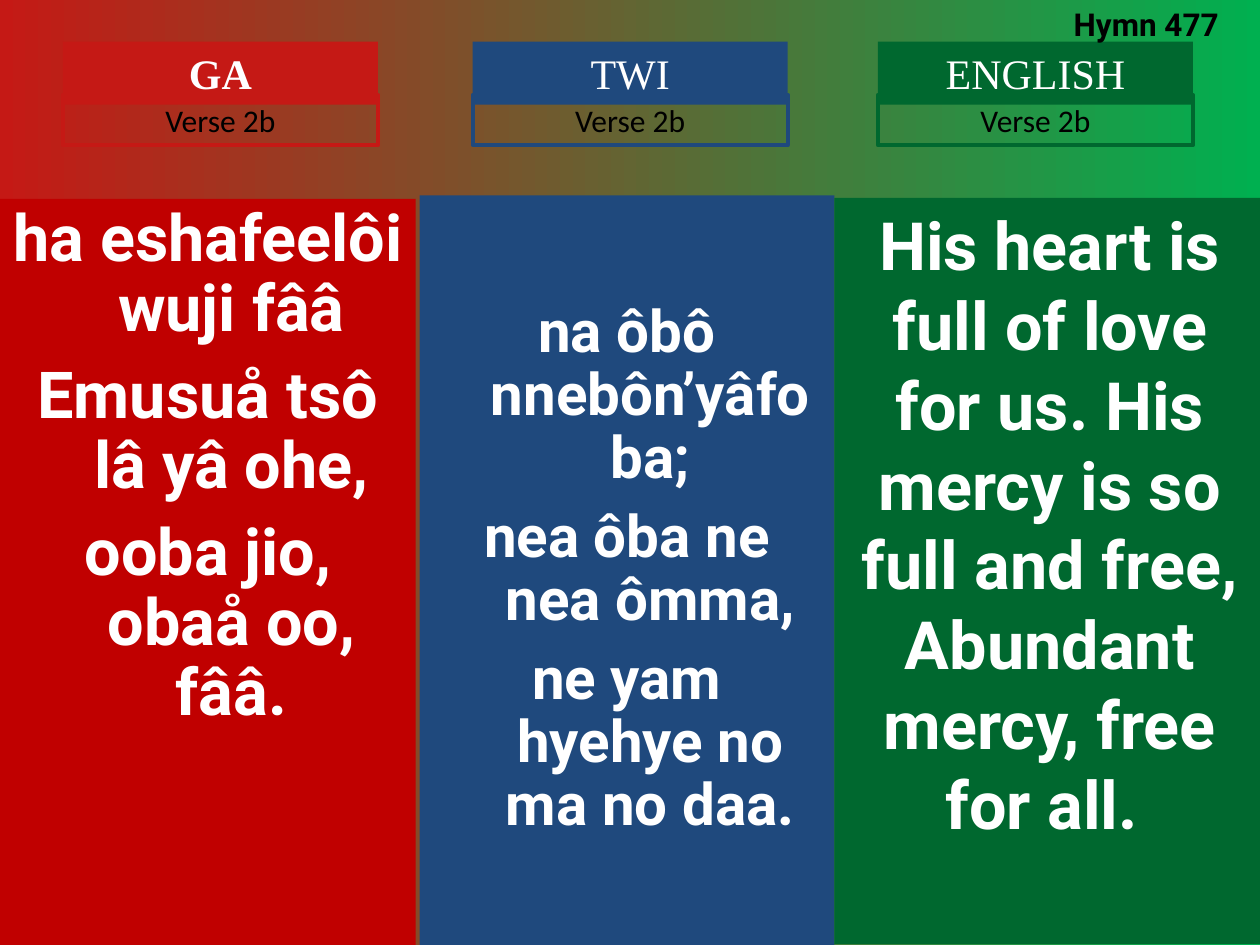
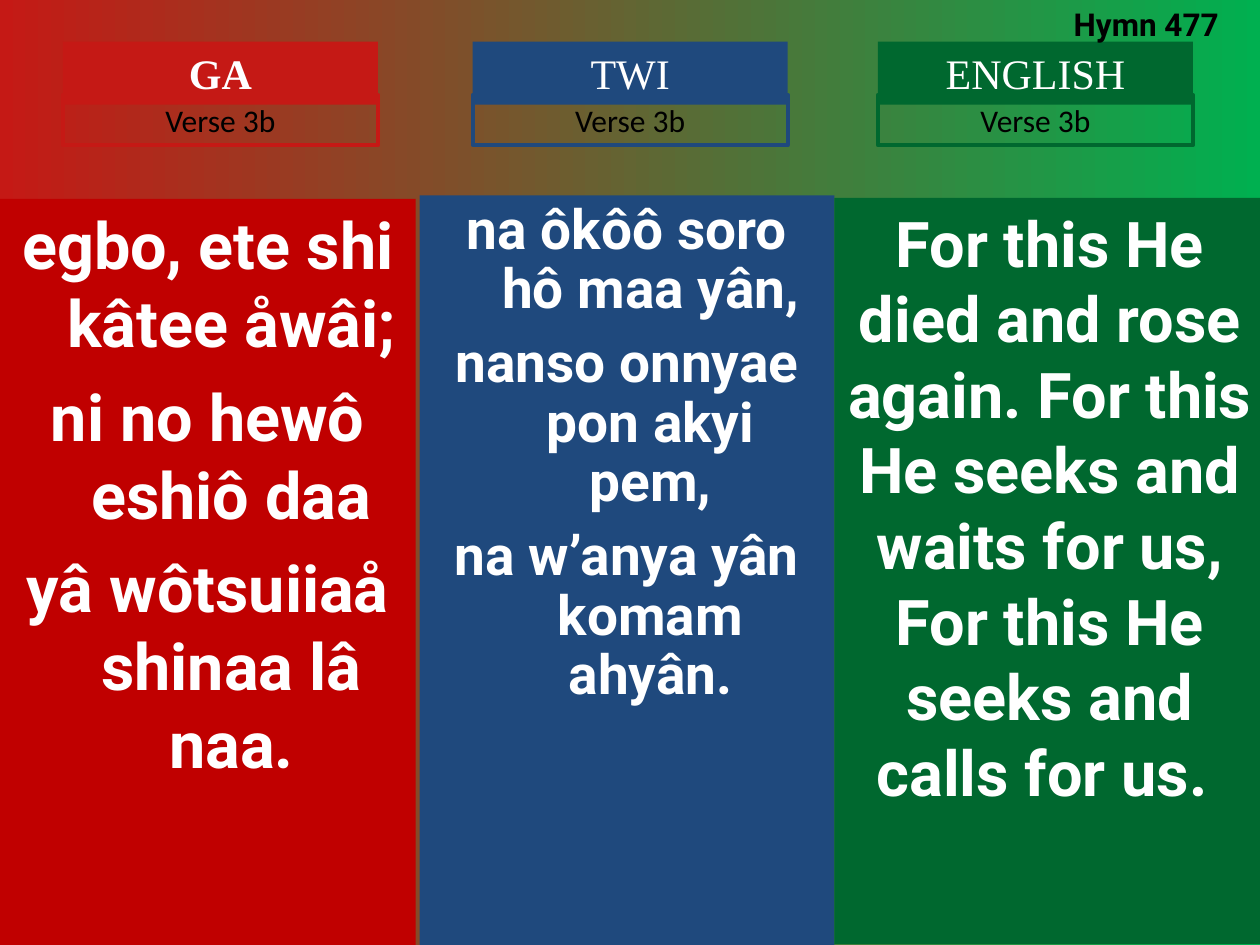
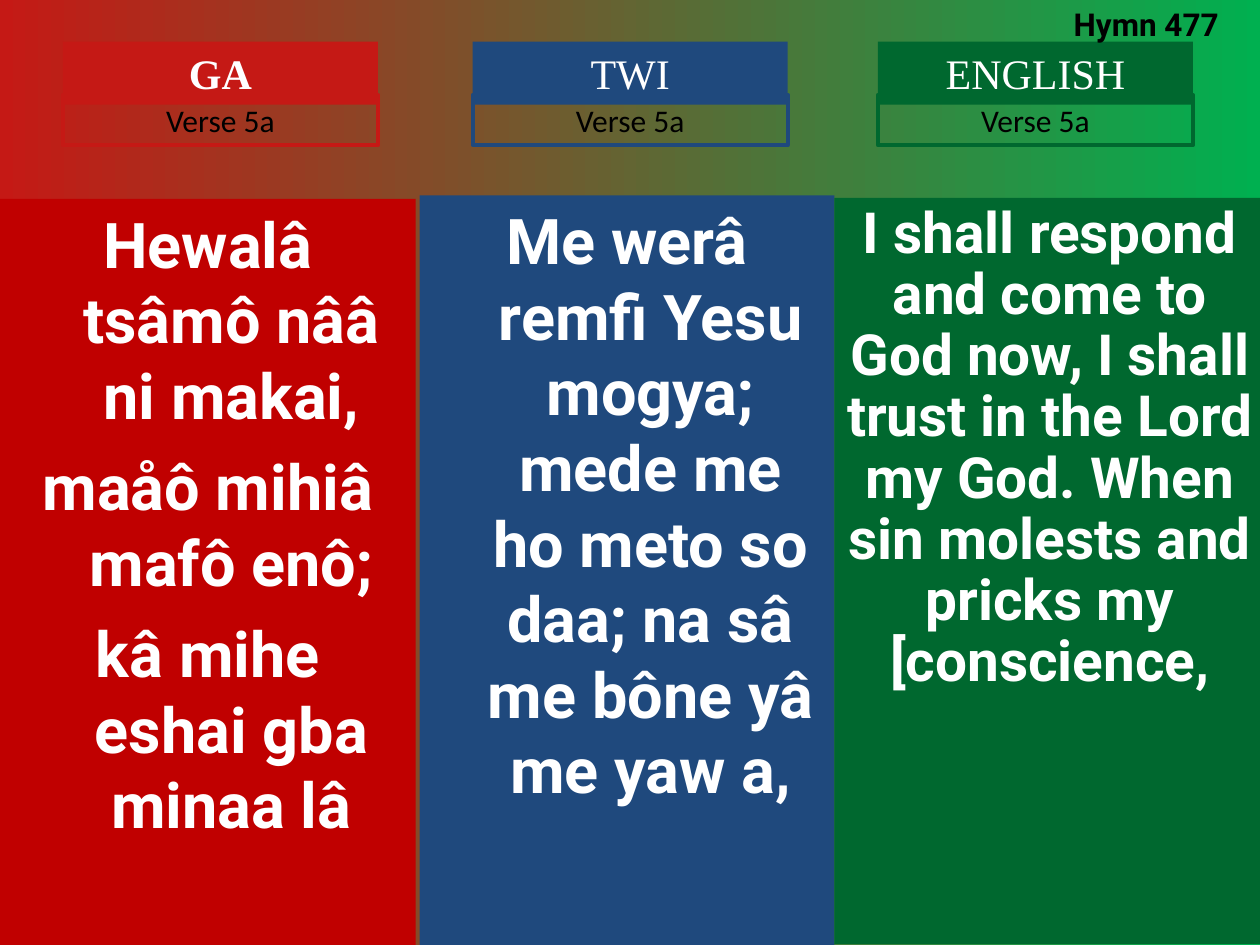
from collections import namedtuple
from dataclasses import dataclass

from lxml.etree import SubElement
from pptx import Presentation
from pptx.dml.color import RGBColor
from pptx.enum.shapes import MSO_SHAPE
from pptx.enum.text import MSO_ANCHOR, MSO_AUTO_SIZE, PP_ALIGN
from pptx.oxml.ns import qn
from pptx.util import Cm, Pt


@dataclass(frozen=True)
class Theme:
    red: str = "C51915"
    deep_red: str = "C00000"
    blue: str = "1F497D"
    green: str = "00682F"
    light_green: str = "00B050"
    white: str = "FFFFFF"
    black: str = "000000"
    lyric_font: str = "Roboto"
    heading_font: str = "Times New Roman"
    verse_font: str = "Calibri"
    heading_size: float = 24
    label_size: float = 18
    outline: float = 2.25


T = Theme()
TWO_CONTENT = 3
HANGING = Cm(0.95)
HYMN = "Hymn 477"
HYMN_BOX = (21.39, -0.03, 3.81, 1.02)
HEADING_TOP, HEADING_WIDTH, HEADING_HEIGHT = 0.84, 6.35, 1.27
VERSE_DROP, VERSE_HEIGHT = 1.07, 1.02

Column = namedtuple("Column", "language heading_left heading_fill bold panel panel_fill placeholder")
Lyrics = namedtuple("Lyrics", "size spacing lines anchor", defaults=[MSO_ANCHOR.TOP])

COLUMNS = [
    Column("GA", 1.27, T.red, True, (0, 4.01, 8.38, 15.04), T.deep_red, 1),
    Column("TWI", 9.53, T.blue, False, (8.46, 3.94, 8.36, 15.11), T.blue, 2),
    Column("ENGLISH", 17.7, T.green, False, (16.82, 3.99, 8.69, 15.04), T.green, None),
]

VERSES = [
    ("Verse 2b", [
        Lyrics(37, 0.9, ["ha eshafeelôi wuji fââ", "Emusuå tsô lâ yâ ohe,",
                         "ooba jio, obaå oo, fââ."]),
        Lyrics(33.3, 0.9, ["na ôbô nnebôn’yâfo ba;", "nea ôba ne nea ômma,",
                           "ne yam hyehye no ma no daa."], MSO_ANCHOR.MIDDLE),
        Lyrics(38, 1, ["His heart is full of love for us. His mercy is so full and free, "
                       "Abundant mercy, free for all. "]),
    ]),
    ("Verse 3b", [
        Lyrics(37, 1, ["egbo, ete shi kâtee åwâi;", "ni no hewô eshiô daa",
                       "yâ wôtsuiiaå shinaa lâ naa."]),
        Lyrics(31.4, 0.9, ["na ôkôô soro hô maa yân,", "nanso onnyae pon akyi pem,",
                           "na w’anya yân komam ahyân."]),
        Lyrics(36, 1, ["For this He died and rose again. For this He seeks and waits for us, "
                       "For this He seeks and calls for us. "]),
    ]),
    ("Verse 5a", [
        Lyrics(36, 1, ["Hewalâ tsâmô nââ ni makai,", "maåô mihiâ mafô enô;",
                       "kâ mihe eshai gba minaa lâ"]),
        Lyrics(36, 1, ["Me werâ remfi Yesu mogya; mede me ho meto so daa; "
                       "na sâ me bône yâ me yaw a,"]),
        Lyrics(32.4, 0.9, ["I shall respond and come to God now, I shall trust in the Lord "
                           "my God. When sin molests and pricks my [conscience,"]),
    ]),
]


def rgb(color):
    return RGBColor.from_string(color)


def place(sp, box):
    sp.left, sp.top, sp.width, sp.height = (Cm(v) for v in box)


def add_rect(s, box, fill=None, line=None):
    sp = s.shapes.add_shape(MSO_SHAPE.RECTANGLE, *(Cm(v) for v in box))
    sp.shadow.inherit = False
    if fill:
        sp.fill.solid()
        sp.fill.fore_color.rgb = rgb(fill)
    else:
        sp.fill.background()
    if line:
        sp.line.color.rgb = rgb(line)
        sp.line.width = Pt(T.outline)
    else:
        sp.line.fill.background()
    return sp


def frame(sp, anchor=MSO_ANCHOR.TOP):
    """Return the shape's text frame, wrapping at a fixed size."""
    tf = sp.text_frame
    tf.word_wrap = True
    tf.auto_size = MSO_AUTO_SIZE.NONE
    tf.vertical_anchor = anchor
    return tf


def add_run(p, text, font, size, color, bold=False, align=PP_ALIGN.CENTER):
    p.alignment = align
    r = p.add_run()
    r.text = text
    r.font.name, r.font.size, r.font.bold = font, Pt(size), bold
    r.font.color.rgb = rgb(color)


def hang(p):
    """Give the paragraph a hanging indent and no bullet."""
    pPr = p._p.get_or_add_pPr()
    pPr.set("marL", str(HANGING))
    pPr.set("indent", str(-HANGING))
    SubElement(pPr, qn("a:buNone"))


def lyrics_panel(s, column, lyrics):
    if column.placeholder:
        sp = s.placeholders[column.placeholder]
        place(sp, column.panel)
        sp.fill.solid()
        sp.fill.fore_color.rgb = rgb(column.panel_fill)
    else:
        sp = add_rect(s, column.panel, column.panel_fill)
    tf = frame(sp, lyrics.anchor)
    gap = lyrics.size * (0.27 if lyrics.spacing < 1 else 0.25)
    for i, line in enumerate(lyrics.lines):
        p = tf.add_paragraph() if i else tf.paragraphs[0]
        if column.placeholder:
            hang(p)
        p.line_spacing = lyrics.spacing
        p.space_before = Pt(round(gap, 1) if i else 0)
        add_run(p, line, T.lyric_font, lyrics.size, T.white, True)


def column_heading(s, column, verse):
    left = column.heading_left
    sp = add_rect(s, (left, HEADING_TOP, HEADING_WIDTH, HEADING_HEIGHT), column.heading_fill)
    add_run(frame(sp).paragraphs[0], column.language, T.heading_font, T.heading_size,
            T.white, column.bold)
    sp = add_rect(s, (left, HEADING_TOP + VERSE_DROP, HEADING_WIDTH, VERSE_HEIGHT),
                  line=column.heading_fill)
    add_run(frame(sp).paragraphs[0], verse, T.verse_font, T.label_size, T.black)


def hymn_title(s):
    """Set the hymn number as the title, in front of the headings."""
    title = s.shapes.title
    place(title, HYMN_BOX)
    add_run(frame(title).paragraphs[0], HYMN, T.lyric_font, T.label_size, T.black, True,
            PP_ALIGN.LEFT)
    s.shapes.element.append(title.element)


def verse_slide(prs, verse, lyrics):
    s = prs.slides.add_slide(prs.slide_layouts[TWO_CONTENT])
    for column, words in zip(COLUMNS, lyrics):
        lyrics_panel(s, column, words)
        column_heading(s, column, verse)
    hymn_title(s)


def set_background(master):
    fill = master.background.fill
    fill.gradient()
    fill.gradient_angle = 0
    for stop, color, position in zip(fill.gradient_stops, (T.red, T.light_green), (0, 1)):
        stop.color.rgb = rgb(color)
        stop.position = position


def main():
    prs = Presentation()
    prs.slide_width, prs.slide_height = Cm(25.4), Cm(19.05)
    set_background(prs.slide_master)
    for verse, lyrics in VERSES:
        verse_slide(prs, verse, lyrics)
    prs.save("out.pptx")


if __name__ == "__main__":
    main()
